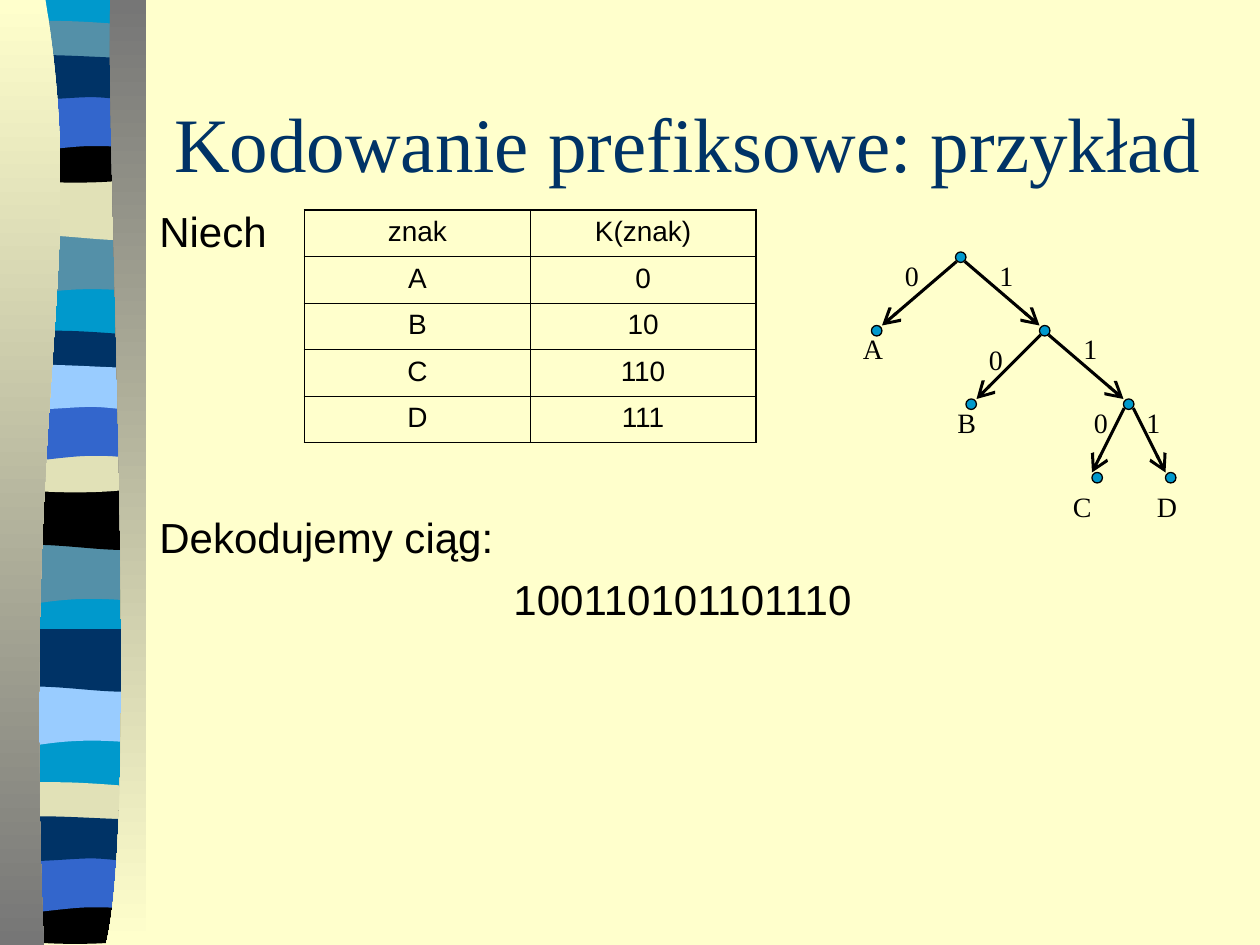
"""Build the slide on prefix coding with a code table and its tree."""
from dataclasses import dataclass

from lxml import etree
from pptx import Presentation
from pptx.dml.color import RGBColor
from pptx.enum.shapes import MSO_CONNECTOR, MSO_SHAPE
from pptx.enum.text import MSO_ANCHOR, PP_ALIGN
from pptx.oxml.ns import qn
from pptx.util import Pt

OVAL = MSO_SHAPE.OVAL
LINE = MSO_CONNECTOR.STRAIGHT
MIDDLE = MSO_ANCHOR.MIDDLE
LEFT, CENTER = PP_ALIGN.LEFT, PP_ALIGN.CENTER

CREAM = RGBColor(0xFF, 0xFF, 0xCC)
GRAY = RGBColor(0x76, 0x76, 0x76)
BLACK = RGBColor(0x00, 0x00, 0x00)
NAVY = RGBColor(0x00, 0x33, 0x66)
AQUA = RGBColor(0x00, 0x99, 0xCC)
SLATE = RGBColor(0x54, 0x90, 0xA8)
SAND = RGBColor(0xE1, 0xE1, 0xB7)
BLUE = RGBColor(0x33, 0x66, 0xCC)
SKY = RGBColor(0x99, 0xCC, 0xFF)

SANS, SERIF = "Arial", "Times New Roman"
DOT = 6


@dataclass
class Band:
    top: float
    drops: tuple
    colors: tuple
    edge: list


@dataclass
class Edge:
    start: str
    end: str
    bit: str
    x: float
    y: float
    nudge: float = 0


FAR, NEAR = (0, 177, 435), (0, 177, 258)
BANDS = [
    Band(133, NEAR, (SLATE, SLATE, SKY),
         [[(82, 0)], [(82, 34)], [(28, 28), (17, 39.6), (4, 34)], [(4, 0)]]),
    Band(101.5, NEAR, (SAND, BLACK, NAVY),
         [[(82, 0)], [(82, 34)], [(69, 39.6), (28, 29.5), (4, 34)], [(4, 0)]]),
    Band(15, FAR, (SLATE, NAVY, SAND),
         [[(82, 0)], [(82, 17)], [(69, 20), (17, 20), (4, 17)], [(4, 0)],
          [(9, -4), (21, -3), (34, -3)], [(47, -3), (72, -1), (82, 0)]]),
    Band(78, FAR, (BLACK, SAND, BLACK),
         [[(82, 0)], [(82, 23)], [(69, 27.5), (17, 27.5), (4, 23)], [(4, 0)],
          [(52, 4), (66, 0), (82, 0)]]),
    Band(53.5, FAR, (BLUE, BLUE, BLUE),
         [[(82, 0)], [(82, 34)], [(70, 30), (65, 30), (52, 30)],
          [(39, 30), (16, 34), (4, 34)], [(4, 0)]]),
    Band(33, FAR, (NAVY, SKY, NAVY),
         [[(82, 0)], [(82, 22.5)], [(77, 26), (65, 22.5), (52, 22.5)],
          [(39, 22.5), (12, 26), (4, 22.5)], [(4, 0)],
          [(15, -3.5), (57, 0), (70, 0)]]),
]
BASE = [[(4, 0)], [(82, 0)], [(82, 538)], [(4, 538)]]
PANELS = [
    (CREAM, GRAY, [[(26, 0)], [(51, 156), (12, 213), (25, 540)],
                   [(0, 540)], [(0, 0)]]),
    (GRAY, CREAM, [[(63, 0)], [(60.5, 90), (80, 465), (60.5, 540)],
                   [(83.5, 540)], [(83.5, 0)]]),
]

ROWS = [("znak", "K(znak)"), ("A", "0"), ("B", "10"), ("C", "110"), ("D", "111")]

NODES = {"root": (546, 144), "A": (498, 186), "right": (594, 186),
         "B": (552, 228), "low": (642, 228), "C": (624, 270), "D": (666, 270)}
EDGES = [
    Edge("root", "A", "0", 510, 144), Edge("root", "right", "1", 564, 144),
    Edge("right", "B", "0", 558, 192), Edge("right", "low", "1", 612, 186),
    Edge("low", "C", "0", 618, 228, -DOT), Edge("low", "D", "1", 648, 228),
]
LEAVES = [("A", 486, 186), ("B", 540, 228), ("C", 606, 276), ("D", 654, 276)]


def add_form(group, edge: list, top: float = 0):
    """Draw a closed outline of corners and cubic curves."""
    pts = [(Pt(x), Pt(y + top)) for part in edge for x, y in part]
    pen = group.shapes.build_freeform(*pts[0])
    pen.add_line_segments(pts[1:], close=True)
    form = pen.convert_to_shape()
    form.shadow.inherit = False
    form.line.fill.background()
    steps = list(form._element.iter(qn("a:lnTo")))
    at = 0
    for part in edge[1:]:
        if len(part) == 3:
            curve = etree.Element(qn("a:cubicBezTo"))
            steps[at].addprevious(curve)
            for step in steps[at:at + 3]:
                curve.append(step[0])
                step.getparent().remove(step)
        at += len(part)
    return form


def paint(shape, color: RGBColor) -> None:
    """Fill a shape or cell with one colour."""
    shape.fill.solid()
    shape.fill.fore_color.rgb = color


def style(para, size: float, face: str, color: RGBColor = BLACK,
          align=LEFT) -> None:
    """Set the font and alignment of a paragraph."""
    para.font.size, para.font.name = Pt(size), face
    para.font.color.rgb = color
    para.alignment = align


def add_side(slide, master) -> None:
    """Draw the ribbon and its panels and move them to the master."""
    group = slide.shapes.add_group_shape()
    paint(add_form(group, BASE), AQUA)
    for i in range(3):
        for band in BANDS:
            paint(add_form(group, band.edge, band.top + band.drops[i]),
                  band.colors[i])
    for first, last, edge in PANELS:
        fill = add_form(group, edge).fill
        fill.gradient()
        fill.gradient_angle = 270
        for stop, color, pos in zip(fill.gradient_stops, (first, last), (0, 1)):
            stop.color.rgb, stop.position = color, pos
    for num, node in enumerate(group._element.iter(qn("p:cNvPr")), 100):
        node.set("id", str(num))
    master.shapes[0]._element.addprevious(group._element)


def add_title(slide) -> None:
    """Place and format the title."""
    title = slide.shapes.title
    title.left, title.top, title.width, title.height = map(Pt, (92.4, 36, 612, 90))
    frame = title.text_frame
    frame.text = "Kodowanie prefiksowe: przykład"
    frame.vertical_anchor = MIDDLE
    style(frame.paragraphs[0], 44, SERIF, NAVY)


def add_text(slide, box: tuple, lines: list, size: float, face: str) -> None:
    """Add a text box of lines given as text, alignment and gap above."""
    frame = slide.shapes.add_textbox(*map(Pt, box)).text_frame
    frame.word_wrap = True
    frame.text = "\n".join(line[0] for line in lines)
    for para, (_, align, gap) in zip(frame.paragraphs, lines):
        style(para, size, face, align=align)
        para.space_before = Pt(gap)


def add_codes(slide) -> None:
    """Add the table of signs and codes."""
    last = len(ROWS) - 1
    table = slide.shapes.add_table(len(ROWS), 2, Pt(174), Pt(120), Pt(258),
                                   Pt(133)).table
    for r, row in enumerate(ROWS):
        table.rows[r].height = Pt(26.6)
        for c, text in enumerate(row):
            cell = table.cell(r, c)
            cell.text = text
            style(cell.text_frame.paragraphs[0], 16, SANS, align=CENTER)
            outer = {"L": c == 0, "R": c == 1, "T": r == 0, "B": r == last}
            props = cell._tc.get_or_add_tcPr()
            for side, wide in outer.items():
                line = etree.SubElement(props, qn(f"a:ln{side}"),
                                        w=str(Pt(1.08 if wide else 0.45)))
                solid = etree.SubElement(line, qn("a:solidFill"))
                etree.SubElement(solid, qn("a:srgbClr"), val=str(BLACK))
            cell.fill.background()


def add_edge(slide, edge: Edge) -> None:
    """Draw an arrow between two nodes with its bit."""
    (x, y), (u, v) = NODES[edge.start], NODES[edge.end]
    if u > x:
        x += DOT
    else:
        u += DOT + edge.nudge
    arrow = slide.shapes.add_connector(LINE, *map(Pt, (x, y + DOT, u, v)))
    arrow.line.color.rgb, arrow.line.width = BLACK, Pt(1.75)
    props = arrow._element.spPr
    line = props.find(qn("a:ln"))
    line.set("cap", "sq")
    etree.SubElement(line, qn("a:tailEnd"), type="arrow", w="lg", len="lg")
    etree.SubElement(props, qn("a:effectLst"))
    add_label(slide, edge.bit, edge.x, edge.y)


def add_label(slide, text: str, x: float, y: float) -> None:
    """Write a short mark in the tree."""
    add_text(slide, (x, y, 24, 26.5), [(text, LEFT, 0)], 16, SERIF)


def add_tree(slide) -> None:
    """Draw the code tree."""
    for edge in EDGES:
        add_edge(slide, edge)
    for x, y in NODES.values():
        dot = slide.shapes.add_shape(OVAL, *map(Pt, (x, y, DOT, DOT)))
        dot.shadow.inherit = False
        paint(dot, AQUA)
        dot.line.color.rgb, dot.line.width = BLACK, Pt(0.75)
    for leaf in LEAVES:
        add_label(slide, *leaf)


def main() -> None:
    """Build and save the slide."""
    deck = Presentation()
    deck.slide_width, deck.slide_height = Pt(720), Pt(540)
    slide = deck.slides.add_slide(deck.slide_layouts[5])
    paint(slide.background, CREAM)
    add_side(slide, deck.slide_master)
    add_title(slide)
    add_text(slide, (84, 113.7, 612, 324),
             [("Niech", LEFT, 0), ("Dekodujemy ciąg:", LEFT, 146),
              ("100110101101110", CENTER, 6.6)], 24, SANS)
    add_codes(slide)
    add_tree(slide)
    deck.save("out.pptx")


if __name__ == "__main__":
    main()
